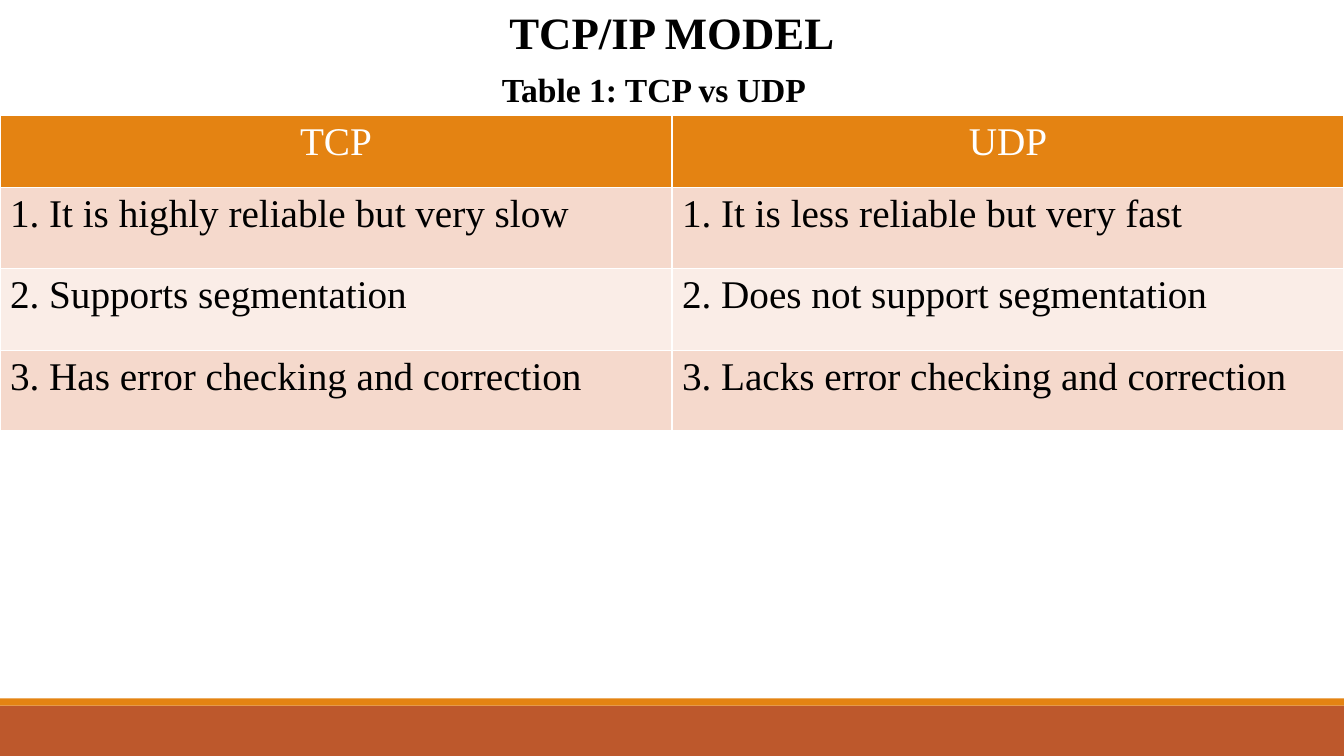
"""Build a slide with a table that compares TCP and UDP."""
from dataclasses import dataclass

from pptx import Presentation
from pptx.dml.color import RGBColor
from pptx.enum import shapes, text
from pptx.util import Cm, Pt


@dataclass(frozen=True)
class Theme:
    font: str = "Times New Roman"
    title_size: int = 32
    caption_size: int = 24
    table_size: int = 28
    ink: str = "000000"
    paper: str = "FFFFFF"
    orange: str = "E48312"
    rust: str = "BD582C"
    bands: tuple = ("F5D9CC", "FAEDE7")


theme = Theme()


def write(frame, content, size, color=theme.ink, bold=False, align=text.PP_ALIGN.CENTER):
    """Write one formatted paragraph into a text frame."""
    frame.word_wrap = True
    para = frame.paragraphs[0]
    para.alignment = align
    span = para.add_run()
    span.text = content
    span.font.name = theme.font
    span.font.size = Pt(size)
    span.font.bold = bold
    span.font.color.rgb = RGBColor.from_string(color)


deck = Presentation()
deck.slide_width, deck.slide_height = Cm(33.87), Cm(19.05)
page = deck.slides.add_slide(deck.slide_layouts.get_by_name("Title Only"))

for top, height, color in ((17.78, 1.27, theme.rust), (17.6, 0.18, theme.orange)):
    bar = page.shapes.add_shape(
        shapes.MSO_SHAPE.RECTANGLE, 0, Cm(top), deck.slide_width, Cm(height)
    )
    bar.shadow.inherit = False
    bar.fill.solid()
    bar.fill.fore_color.rgb = RGBColor.from_string(color)
    bar.line.fill.background()

title = page.shapes.title
title.left, title.top, title.width, title.height = 0, 0, deck.slide_width, Cm(1.62)
title.text_frame.vertical_anchor = text.MSO_ANCHOR.TOP
write(title.text_frame, "TCP/IP MODEL", theme.title_size, bold=True)

caption = page.shapes.add_textbox(Cm(11.07), Cm(1.62), Cm(10.82), Cm(1.28))
write(caption.text_frame, "Table 1: TCP vs UDP", theme.caption_size, bold=True)

rows = (
    ("TCP", "UDP"),
    ("1. It is highly reliable but very slow", "1. It is less reliable but very fast"),
    ("2. Supports segmentation", "2. Does not support segmentation"),
    ("3. Has error checking and correction", "3. Lacks error checking and correction"),
)
row_heights = (1.82, 2.05, 2.07, 2.02)
comparison = page.shapes.add_table(
    len(rows), len(rows[0]), 0, Cm(2.9), deck.slide_width, Cm(sum(row_heights))
).table

for row_index, (contents, height) in enumerate(zip(rows, row_heights)):
    comparison.rows[row_index].height = Cm(height)
    is_header = row_index == 0
    fill = theme.orange if is_header else theme.bands[(row_index - 1) % 2]
    for column_index, content in enumerate(contents):
        cell = comparison.cell(row_index, column_index)
        cell.fill.solid()
        cell.fill.fore_color.rgb = RGBColor.from_string(fill)
        write(
            cell.text_frame,
            content,
            theme.table_size,
            color=theme.paper if is_header else theme.ink,
            align=text.PP_ALIGN.CENTER if is_header else text.PP_ALIGN.LEFT,
        )

deck.save("out.pptx")
